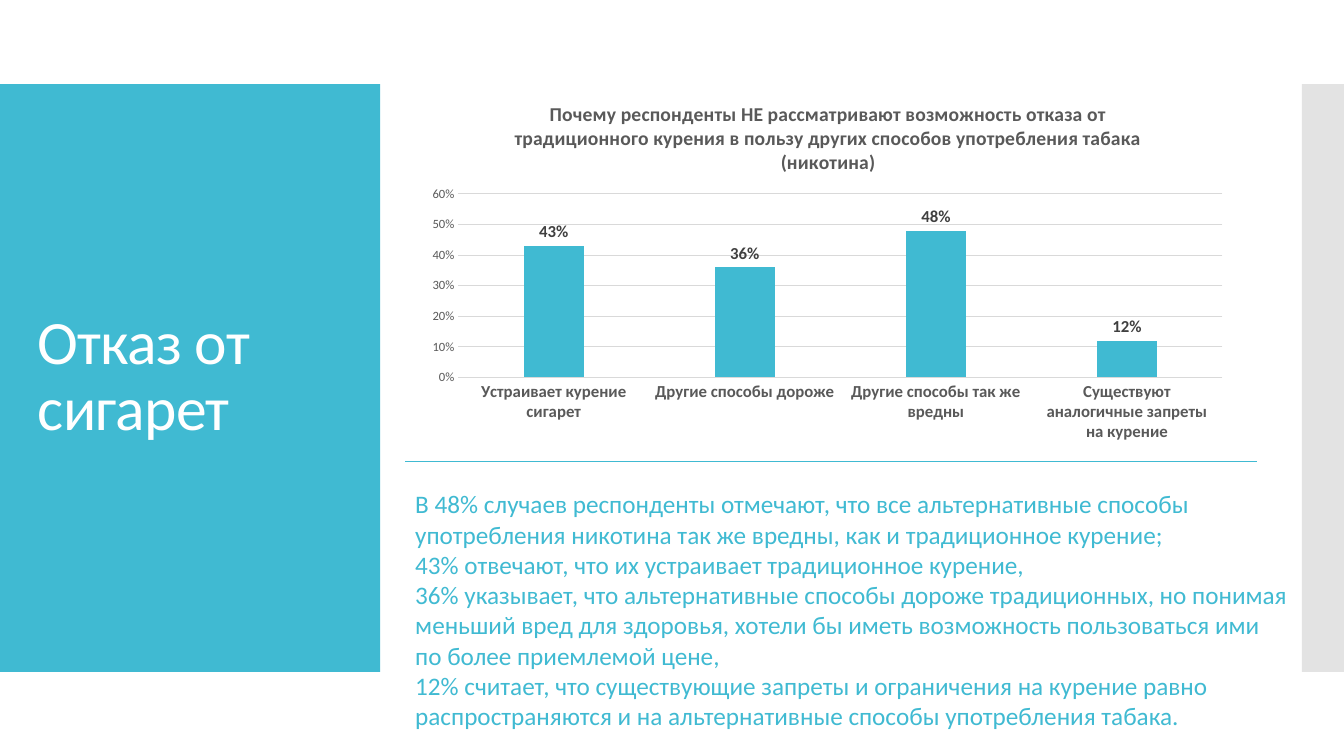
from dataclasses import dataclass

from lxml.etree import SubElement
from pptx import Presentation
from pptx.chart.data import CategoryChartData
from pptx.dml.color import RGBColor
from pptx.enum.chart import XL_CHART_TYPE, XL_LABEL_POSITION, XL_TICK_MARK
from pptx.enum.shapes import MSO_CONNECTOR, MSO_SHAPE
from pptx.enum.text import MSO_ANCHOR
from pptx.oxml import parse_xml
from pptx.oxml.ns import nsdecls, qn
from pptx.util import Pt


@dataclass(frozen=True)
class Theme:
    font: str = "Calibri"
    accent: str = "40BAD2"
    white: str = "FFFFFF"
    side: str = "C8C8C8"
    grid: str = "D9D9D9"
    axis_text: str = "595959"
    label_text: str = "404040"
    heading_size: float = 44
    body_size: float = 18
    chart_title_size: float = 14
    category_size: float = 12
    value_size: float = 9
    line_width: float = 0.75


THEME = Theme()

CHART_TITLE = (
    "Почему респонденты НЕ рассматривают возможность отказа от традиционного "
    "курения в пользу других способов употребления табака (никотина)"
)
REASONS = {
    "Устраивает курение сигарет": 0.43,
    "Другие способы дороже": 0.36,
    "Другие способы так же вредны": 0.48,
    "Существуют аналогичные запреты на курение": 0.12,
}
FINDINGS = [
    "В 48% случаев респонденты отмечают, что все альтернативные способы "
    "употребления никотина так же вредны, как и традиционное курение;",
    "43% отвечают, что их устраивает традиционное курение,",
    "36% указывает, что альтернативные способы дороже традиционных, но понимая "
    "меньший вред для здоровья, хотели бы иметь возможность пользоваться ими "
    "по более приемлемой цене,",
    "12% считает, что существующие запреты и ограничения на курение равно "
    "распространяются и на альтернативные способы употребления табака.",
]


def format_font(font, size, color, bold=False):
    font.name = THEME.font
    font.size = Pt(size)
    font.bold = bold
    font.color.rgb = RGBColor.from_string(color)


def format_line(line, color):
    line.color.rgb = RGBColor.from_string(color)
    line.width = Pt(THEME.line_width)


def add_panel(slide, left, top, width, height, color, opacity=100):
    shape = slide.shapes.add_shape(
        MSO_SHAPE.RECTANGLE, Pt(left), Pt(top), Pt(width), Pt(height))
    shape.shadow.inherit = False
    shape.line.fill.background()
    shape.fill.solid()
    shape.fill.fore_color.rgb = RGBColor.from_string(color)
    if opacity < 100:
        fill_color = shape.fill._xPr.find(qn("a:solidFill"))[0]
        SubElement(fill_color, qn("a:alpha"), val=str(opacity * 1000))


def add_text(slide, text, *, left, top, width, height, size, color,
             anchor=MSO_ANCHOR.TOP, line_spacing=None, tracking=None):
    frame = slide.shapes.add_textbox(
        Pt(left), Pt(top), Pt(width), Pt(height)).text_frame
    frame.word_wrap = True
    frame.vertical_anchor = anchor
    frame.text = text
    for paragraph in frame.paragraphs:
        paragraph.line_spacing = line_spacing
        for run in paragraph.runs:
            format_font(run.font, size, color)
            if tracking is not None:
                run.font._element.set("spc", str(round(tracking * 100)))


def add_divider(slide, left, right, top):
    connector = slide.shapes.add_connector(
        MSO_CONNECTOR.STRAIGHT, Pt(left), Pt(top), Pt(right), Pt(top))
    format_line(connector.line, THEME.accent)
    SubElement(connector._element.spPr, qn("a:effectLst"))


def set_plot_area(chart, **fractions):
    """Fix the inner plot area as fractions of the chart's size."""
    values = "".join(f'<c:{key} val="{value}"/>' for key, value in fractions.items())
    layout = parse_xml(
        f'<c:layout {nsdecls("c")}><c:manualLayout><c:layoutTarget val="inner"/>'
        f'<c:xMode val="edge"/><c:yMode val="edge"/>{values}'
        "</c:manualLayout></c:layout>")
    plot_area = chart._chartSpace.chart.plotArea
    for previous in plot_area.findall(qn("c:layout")):
        plot_area.remove(previous)
    plot_area.insert(0, layout)


def add_column_chart(slide, title, values, left, top, width, height):
    data = CategoryChartData(number_format="0%")
    data.categories = list(values)
    data.add_series("Series 1", list(values.values()))
    chart = slide.shapes.add_chart(
        XL_CHART_TYPE.COLUMN_CLUSTERED,
        Pt(left), Pt(top), Pt(width), Pt(height), data).chart
    chart.has_legend = False
    format_font(chart.font, 10, "000000")

    # Chart title
    chart.has_title = True
    chart.chart_title.include_in_layout = False
    chart.chart_title.text_frame.text = title
    title_run = chart.chart_title.text_frame.paragraphs[0].runs[0]
    format_font(title_run.font, THEME.chart_title_size, THEME.axis_text, bold=True)
    set_plot_area(chart, x=0.05, y=0.3, w=0.93, h=0.5)

    # Axes
    for axis in (chart.category_axis, chart.value_axis):
        axis.major_tick_mark = axis.minor_tick_mark = XL_TICK_MARK.NONE
    format_font(chart.category_axis.tick_labels.font,
                THEME.category_size, THEME.axis_text, bold=True)
    format_line(chart.category_axis.format.line, THEME.grid)
    value_axis = chart.value_axis
    value_axis.minimum_scale, value_axis.maximum_scale = 0, 0.6
    value_axis.major_unit = 0.1
    value_axis.tick_labels.number_format = "0%"
    value_axis.tick_labels.number_format_is_linked = False
    format_font(value_axis.tick_labels.font, THEME.value_size, THEME.axis_text)
    value_axis.format.line.fill.background()
    format_line(value_axis.major_gridlines.format.line, THEME.grid)

    # Columns and their labels
    plot = chart.plots[0]
    plot.gap_width, plot.overlap = 219, -27
    plot.vary_by_categories = False
    fill = plot.series[0].format.fill
    fill.solid()
    fill.fore_color.rgb = RGBColor.from_string(THEME.accent)
    labels = plot.series[0].data_labels
    labels.show_value = True
    labels.number_format = "0%"
    labels.number_format_is_linked = False
    labels.position = XL_LABEL_POSITION.OUTSIDE_END
    format_font(labels.font, THEME.category_size, THEME.label_text, bold=True)


def main():
    presentation = Presentation()
    presentation.slide_width, presentation.slide_height = Pt(960), Pt(540)
    slide = presentation.slides.add_slide(presentation.slide_layouts[6])

    # Side panels and heading
    add_panel(slide, 0, 60, 271.5, 420, THEME.accent)
    add_panel(slide, 930, 60, 30, 420, THEME.side, opacity=50)
    add_text(slide, "Отказ от сигарет", left=20, top=88.5, width=232, height=362,
             size=THEME.heading_size, color=THEME.white,
             anchor=MSO_ANCHOR.MIDDLE, line_spacing=0.9, tracking=-0.6)

    # Survey chart
    add_column_chart(slide, CHART_TITLE, REASONS, 298, 60, 587, 262)

    # Findings
    add_divider(slide, 289.5, 898, 329.75)
    add_text(slide, "\n".join(FINDINGS), left=289.5, top=345.6, width=638,
             height=203.8, size=THEME.body_size, color=THEME.accent)

    presentation.save("out.pptx")


if __name__ == "__main__":
    main()
